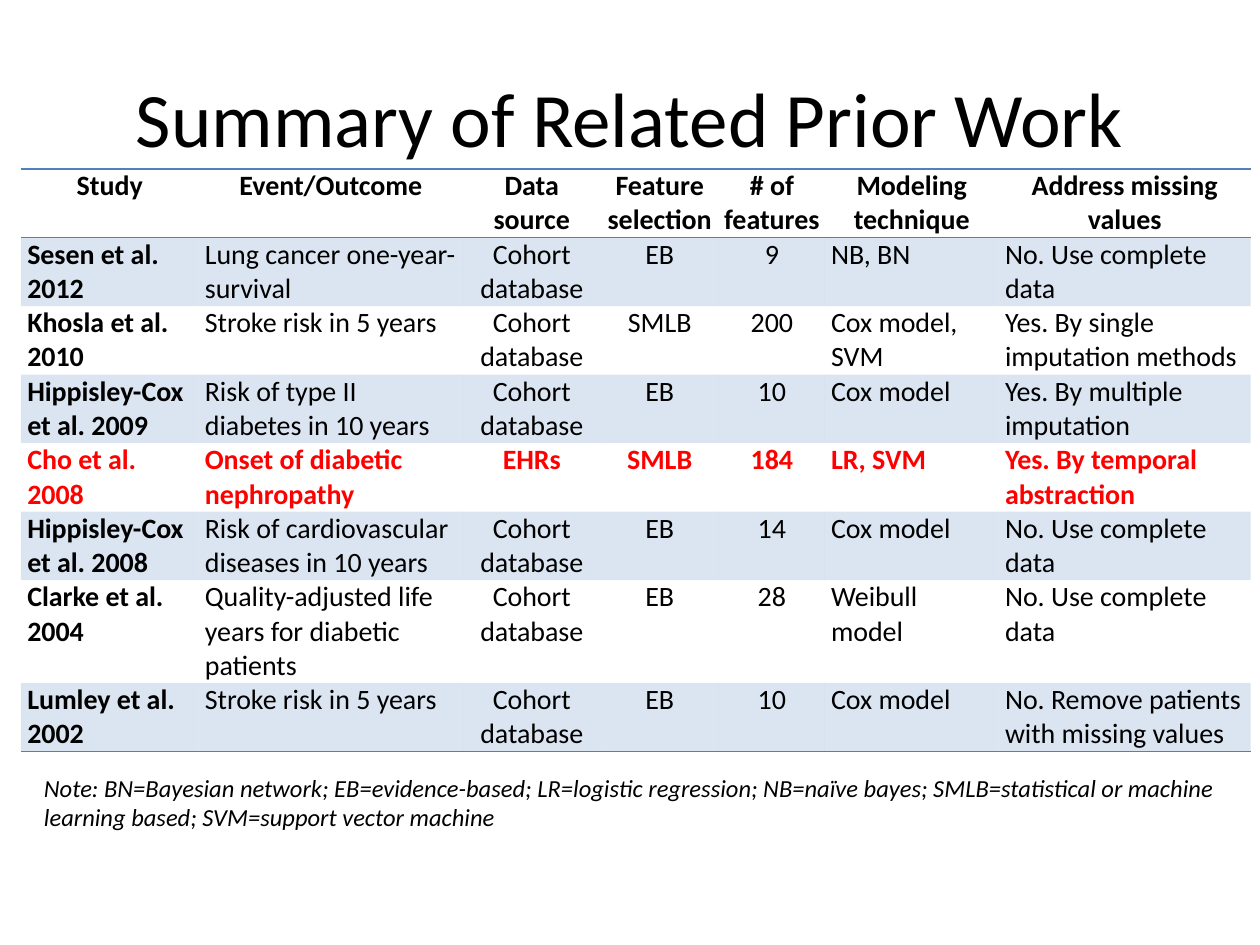
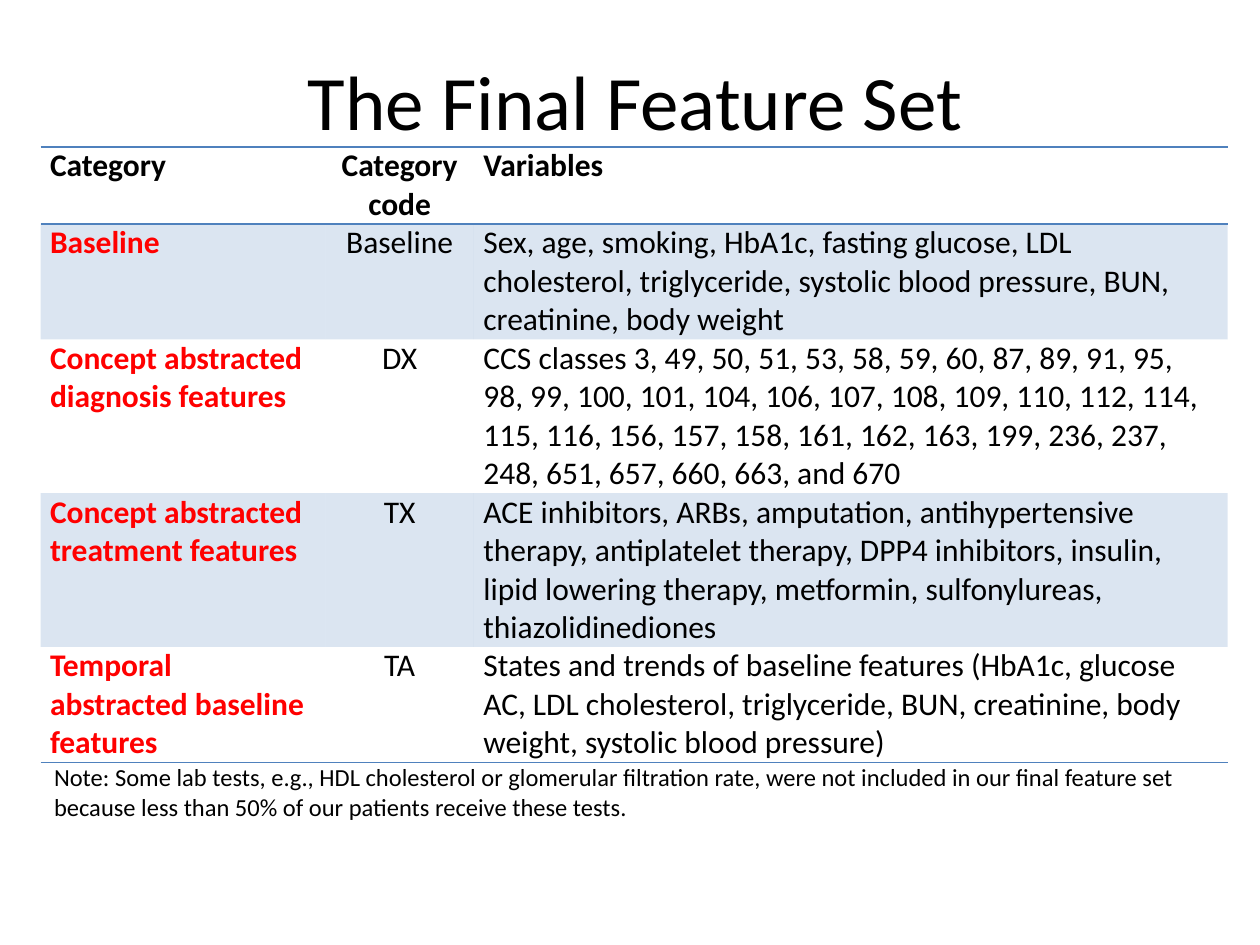
import dataclasses

import lxml.etree
import pptx
import pptx.dml.color
import pptx.enum.text
import pptx.oxml.ns
import pptx.util

Pt = pptx.util.Pt
qn = pptx.oxml.ns.qn
LEFT = pptx.enum.text.PP_ALIGN.LEFT
CENTER = pptx.enum.text.PP_ALIGN.CENTER
TOP = pptx.enum.text.MSO_ANCHOR.TOP
MIDDLE = pptx.enum.text.MSO_ANCHOR.MIDDLE


@dataclasses.dataclass(frozen=True)
class Theme:
    font: str = "Calibri"
    ink: str = "000000"
    accent: str = "FF0000"
    band: str = "4F81BD"
    band_alpha: int = 20
    rule_width: float = 1
    title_size: float = 44
    note_size: float = 14
    line_factor: float = 1.22
    plain_style: str = "{2D5ABB26-0587-4C30-8999-92F81FD0307C}"


THEME = Theme()

STUDY_COLUMNS = [
    ("Study", 101.5, LEFT),
    ("Event/Outcome", 151.2, LEFT),
    ("Data source", 78.5, CENTER),
    ("Feature selection", 67.7, CENTER),
    ("# of features", 60.5, CENTER),
    ("Modeling technique", 99.4, LEFT),
    ("Address missing values", 144, LEFT),
]
COHORT = "Cohort database"
COMPLETE = "No. Use complete data"
STUDIES = [
    ("Sesen et al. 2012", "Lung cancer one-year-survival", COHORT,
     "EB", "9", "NB, BN", COMPLETE),
    ("Khosla et al. 2010", "Stroke risk in 5 years", COHORT,
     "SMLB", "200", "Cox model, SVM", "Yes. By single imputation methods"),
    ("Hippisley-Cox et al. 2009", "Risk of type II diabetes in 10 years", COHORT,
     "EB", "10", "Cox model", "Yes. By multiple imputation"),
    ("Cho et al. 2008", "Onset of diabetic nephropathy", "EHRs",
     "SMLB", "184", "LR, SVM", "Yes. By temporal abstraction"),
    ("Hippisley-Cox et al. 2008", "Risk of cardiovascular diseases in 10 years", COHORT,
     "EB", "14", "Cox model", COMPLETE),
    ("Clarke et al. 2004", "Quality-adjusted life years for diabetic patients", COHORT,
     "EB", "28", "Weibull model", COMPLETE),
    ("Lumley et al. 2002", "Stroke risk in 5 years", COHORT,
     "EB", "10", "Cox model", "No. Remove patients with missing values"),
]
STUDY_LINES = [2, 2, 2, 2, 2, 2, 3, 2]
HIGHLIGHTED_STUDY = 4

FEATURE_COLUMNS = [
    ("Category", 162.7, LEFT),
    ("Category code", 85, CENTER),
    ("Variables", 430.6, LEFT),
]
FEATURES = [
    ("Baseline", "Baseline",
     "Sex, age, smoking, HbA1c, fasting glucose, LDL cholesterol, triglyceride, "
     "systolic blood pressure, BUN, creatinine, body weight"),
    ("Concept abstracted diagnosis features", "DX",
     "CCS classes 3, 49, 50, 51, 53, 58, 59, 60, 87, 89, 91, 95, 98, 99, 100, 101, "
     "104, 106, 107, 108, 109, 110, 112, 114, 115, 116, 156, 157, 158, 161, 162, 163, "
     "199, 236, 237, 248, 651, 657, 660, 663, and 670"),
    ("Concept abstracted treatment features", "TX",
     "ACE inhibitors, ARBs, amputation, antihypertensive therapy, antiplatelet therapy, "
     "DPP4 inhibitors, insulin, lipid lowering therapy, metformin, sulfonylureas, "
     "thiazolidinediones"),
    ("Temporal abstracted baseline features", "TA",
     "States and trends of baseline features (HbA1c, glucose AC, LDL cholesterol, "
     "triglyceride, BUN, creatinine, body weight, systolic blood pressure)"),
]
FEATURE_LINES = [2, 3, 4, 4, 3]


def put_text(tf, text, size, color=THEME.ink, bold=False, italic=False,
             align=LEFT):
    tf.word_wrap = True
    p = tf.paragraphs[0]
    p.alignment = align
    r = p.add_run()
    r.text = text
    r.font.name = THEME.font
    r.font.size = Pt(size)
    r.font.bold = bold
    r.font.italic = italic
    r.font.color.rgb = pptx.dml.color.RGBColor.from_string(color)


def place_title(slide, text, box):
    sp = slide.shapes.title
    sp.left, sp.top, sp.width, sp.height = (Pt(v) for v in box)
    sp.text_frame.vertical_anchor = MIDDLE
    put_text(sp.text_frame, text, THEME.title_size, align=CENTER)


def place_note(slide, text, box, italic=False):
    sp = slide.shapes.add_textbox(*(Pt(v) for v in box))
    put_text(sp.text_frame, text, THEME.note_size, italic=italic)


def rule_cell(cell, sides):
    tc_pr = cell._tc.get_or_add_tcPr()
    for i, side in enumerate(sides):
        ln = lxml.etree.Element(qn(f"a:ln{side}"), w=str(Pt(THEME.rule_width)))
        fill = lxml.etree.SubElement(ln, qn("a:solidFill"))
        lxml.etree.SubElement(fill, qn("a:srgbClr"), val=THEME.band)
        tc_pr.insert(i, ln)


def fill_cell(cell, banded):
    if not banded:
        cell.fill.background()
        return
    cell.fill.solid()
    cell.fill.fore_color.rgb = pptx.dml.color.RGBColor.from_string(THEME.band)
    color = cell._tc.tcPr.find(".//" + qn("a:srgbClr"))
    lxml.etree.SubElement(color, qn("a:alpha"), val=str(THEME.band_alpha * 1000))


def place_table(slide, columns, records, lines, box, size, inset, style):
    left, top, width = box
    line_height = size * THEME.line_factor
    rows = [[name for name, _, _ in columns], *records]
    frame = slide.shapes.add_table(
        len(rows), len(columns), Pt(left), Pt(top), Pt(width),
        Pt(sum(lines) * line_height))
    table = frame.table
    table.horz_banding = False
    table._tbl.tblPr.find(qn("a:tableStyleId")).text = THEME.plain_style
    for column, (_, column_width, _) in zip(table.columns, columns):
        column.width = Pt(column_width)
    for y, values in enumerate(rows):
        table.rows[y].height = Pt(lines[y] * line_height)
        sides = "TB" if y == 0 else "B" if y == len(rows) - 1 else ""
        for x, text in enumerate(values):
            cell = table.cell(y, x)
            cell.vertical_anchor = TOP
            cell.margin_left = cell.margin_right = Pt(inset(y, x))
            cell.margin_top = cell.margin_bottom = 0
            fill_cell(cell, y % 2 == 1)
            rule_cell(cell, sides)
            text_format = {"align": columns[x][2], "bold": y == 0 or x == 0}
            put_text(cell.text_frame, text, size, **(text_format | style(y, x)))


def study_inset(y, x):
    if x == 2:
        return 5
    return 0 if y == 0 else 3.6


def study_style(y, x):
    if y == 0:
        return {"align": CENTER}
    if y == HIGHLIGHTED_STUDY:
        return {"color": THEME.accent, "bold": True}
    return {}


def feature_style(y, x):
    return {"color": THEME.accent} if y > 0 and x == 0 else {}


def build_prior_work(slide):
    place_title(slide, "Summary of Related Prior Work", (36, 21.6, 648, 90))
    place_table(slide, STUDY_COLUMNS, STUDIES, STUDY_LINES, (12, 96.6, 702.8),
                16, study_inset, study_style)
    place_note(slide, "Note: BN=Bayesian network; EB=evidence-based; LR=logistic "
               "regression; NB=naïve bayes; SMLB=statistical or machine learning "
               "based; SVM=support vector machine", (18, 438, 696, 41), italic=True)


def build_feature_set(slide):
    place_title(slide, "The Final Feature Set", (39, 12.2, 648, 90))
    place_table(slide, FEATURE_COLUMNS, FEATURES, FEATURE_LINES, (23.2, 84, 678.3),
                18, lambda y, x: 5.4, feature_style)
    place_note(slide, "Note: Some lab tests, e.g., HDL cholesterol or glomerular "
               "filtration rate, were not included in our final feature set because "
               "less than 50% of our patients receive these tests.",
               (23.8, 432, 678, 41))


def main():
    prs = pptx.Presentation()
    prs.slide_width, prs.slide_height = Pt(720), Pt(540)
    for build in (build_prior_work, build_feature_set):
        build(prs.slides.add_slide(prs.slide_layouts[5]))
    prs.save("out.pptx")


if __name__ == "__main__":
    main()
